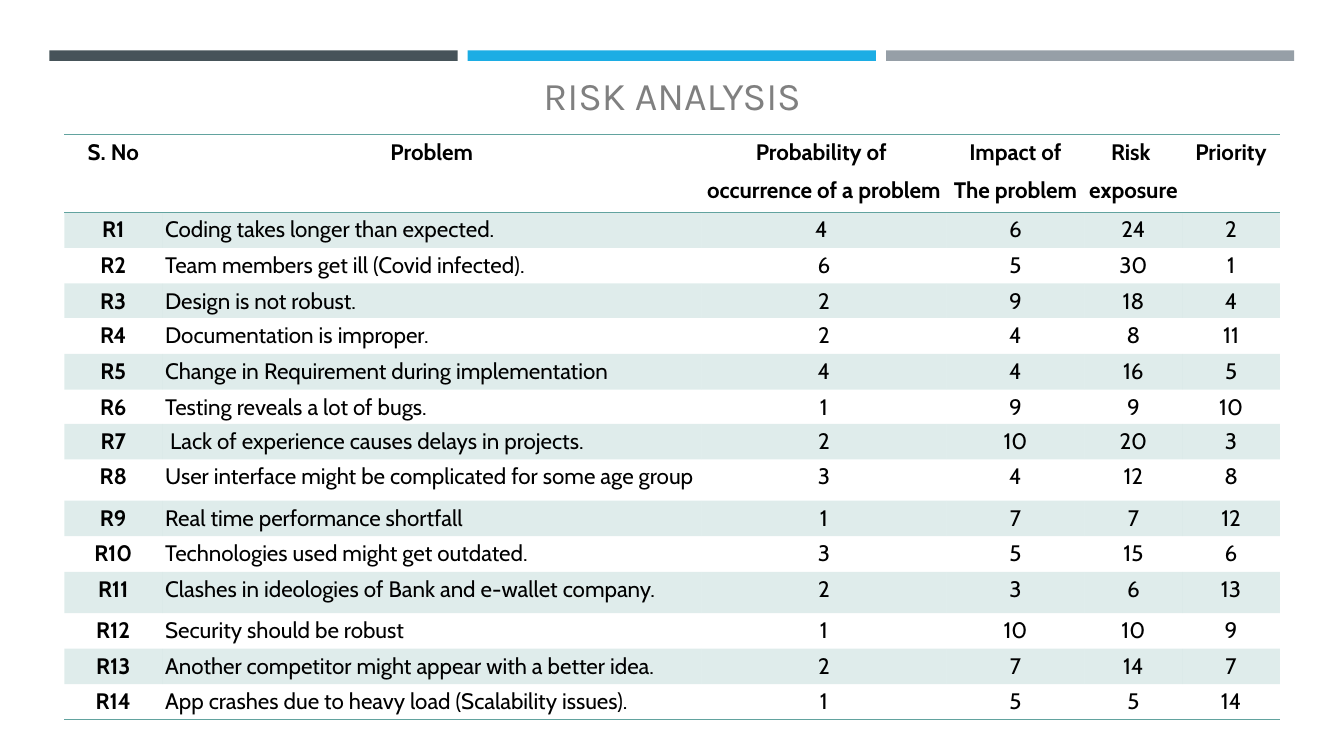
from lxml.etree import SubElement
from pptx import Presentation
from pptx.dml.color import RGBColor
from pptx.enum.shapes import MSO_SHAPE
from pptx.enum.text import MSO_ANCHOR, PP_ALIGN
from pptx.oxml import parse_xml
from pptx.oxml.ns import nsdecls, qn
from pptx.util import Pt

SLATE = RGBColor(0x46, 0x53, 0x59)
BLUE = RGBColor(0x1C, 0xAD, 0xE4)
SILVER = RGBColor(0x96, 0x9F, 0xA7)
GREY = RGBColor(0x80, 0x80, 0x80)
BLACK = RGBColor(0, 0, 0)
TEAL = RGBColor(0x62, 0xA3, 0x9F)

PLAIN_TABLE_STYLE = "{2D5ABB26-0587-4C30-8999-92F81FD0307C}"
CELL_FORMAT = {
    "margin_left": Pt(2.2),
    "margin_right": Pt(2.2),
    "margin_top": 0,
    "margin_bottom": 0,
    "vertical_anchor": MSO_ANCHOR.TOP,
}
COLUMN_WIDTHS = [69.8, 385.2, 175, 98.7, 69.8, 69.8]
HEADER_HEIGHT = 55.5
HEADERS = [
    "S. No",
    "Problem",
    "Probability of \noccurrence of a problem",
    "Impact of\nThe problem",
    "Risk \nexposure",
    "Priority",
]
RISKS = [
    (25.4, "Coding takes longer than expected.", "4 ", 6, 24, 2),
    (25.4, "Team members get ill (Covid infected).", 6, 5, 30, 1),
    (24.5, "Design is not robust.", 2, 9, 18, 4),
    (25.9, "Documentation is improper.", 2, 4, 8, 11),
    (25.4, "Change in Requirement during implementation ", 4, 4, 16, 5),
    (24.5, "Testing reveals a lot of bugs.", 1, 9, 9, 10),
    (25.4, " Lack of experience causes delays in projects.", 2, 10, 20, 3),
    (29.5, "User interface might be complicated for some age group", 3, 4, 12, 8),
    (25.4, "Real time performance shortfall", 1, 7, 7, 12),
    (25.4, "Technologies used might get outdated.", 3, 5, 15, 6),
    (29.5, "Clashes in ideologies of Bank and e-wallet company.", 2, 3, 6, 13),
    (25.4, "Security should be robust", 1, 10, 10, 9),
    (25.4, "Another competitor might appear with a better idea.", 2, 7, 14, 7),
    (25.4, "App crashes due to heavy load (Scalability issues).", 1, 5, 5, 14),
]


def apply_format(target, values):
    for name, value in values.items():
        setattr(target, name, value)


def style_run(run, color, **values):
    apply_format(run.font, values)
    run.font.color.rgb = color


def add_accent_bars(slide, left, top, width, height, gap=7.2):
    colors = [SLATE, BLUE, SILVER]
    bar_width = (width - gap * (len(colors) - 1)) / len(colors)
    for index, color in enumerate(colors):
        bar_left = left + index * (bar_width + gap)
        bar = slide.shapes.add_shape(
            MSO_SHAPE.RECTANGLE, Pt(bar_left), Pt(top), Pt(bar_width), Pt(height)
        )
        bar.shadow.inherit = False
        bar.fill.solid()
        bar.fill.fore_color.rgb = color
        bar.line.fill.background()


def place_title(slide, left, top, width, height):
    title = slide.shapes.title
    apply_format(title, {
        "left": Pt(left), "top": Pt(top), "width": Pt(width), "height": Pt(height),
    })
    title.text_frame.vertical_anchor = MSO_ANCHOR.BOTTOM
    heading = title.text_frame.paragraphs[0]
    heading.alignment = PP_ALIGN.CENTER
    run = heading.add_run()
    run.text = "RISK ANALYSIS"
    style_run(run, GREY, name="Karla", size=Pt(28))


def add_rules(cell, edges):
    properties = cell._tc.get_or_add_tcPr()
    for position, edge in enumerate(edges):
        rule = parse_xml(
            f'<a:{edge} {nsdecls("a")} w="{Pt(1)}"><a:solidFill>'
            f'<a:srgbClr val="{TEAL}"/></a:solidFill></a:{edge}>'
        )
        properties.insert(position, rule)


def fill_band(cell, banded):
    if not banded:
        cell.fill.background()
        return
    cell.fill.solid()
    cell.fill.fore_color.rgb = TEAL
    band_color = cell._tc.tcPr.find(f'{qn("a:solidFill")}/{qn("a:srgbClr")}')
    SubElement(band_color, qn("a:alpha"), val="20000")


def write_cell(cell, text, bold, alignment):
    apply_format(cell, CELL_FORMAT)
    for index, line in enumerate(text.split("\n")):
        frame = cell.text_frame
        paragraph = frame.add_paragraph() if index else frame.paragraphs[0]
        paragraph.alignment = alignment
        paragraph.line_spacing = 1.15
        if index:
            paragraph.space_before = Pt(5)
        run = paragraph.add_run()
        run.text = line
        style_run(run, BLACK, name="Cabin", size=Pt(16), bold=bold)


def add_risk_table(slide, left, top):
    heights = [HEADER_HEIGHT] + [risk[0] for risk in RISKS]
    records = [HEADERS] + [
        [f"R{number}", *risk[1:]] for number, risk in enumerate(RISKS, 1)
    ]
    risk_table = slide.shapes.add_table(
        len(records), len(HEADERS), Pt(left), Pt(top),
        Pt(sum(COLUMN_WIDTHS)), Pt(sum(heights)),
    ).table
    apply_format(risk_table, {"first_row": True, "horz_banding": False})
    risk_table._tbl.tblPr.find(qn("a:tableStyleId")).text = PLAIN_TABLE_STYLE
    for column, width in zip(risk_table.columns, COLUMN_WIDTHS):
        column.width = Pt(width)
    for row_index, (record, height) in enumerate(zip(records, heights)):
        risk_table.rows[row_index].height = Pt(height)
        for column_index, value in enumerate(record):
            cell = risk_table.cell(row_index, column_index)
            is_problem = row_index > 0 and column_index == 1
            write_cell(
                cell, str(value),
                bold=row_index == 0 or column_index == 0,
                alignment=PP_ALIGN.LEFT if is_problem else PP_ALIGN.CENTER,
            )
            fill_band(cell, row_index % 2 == 1)
            if row_index == 0:
                add_rules(cell, ["lnT", "lnB"])
            elif row_index == len(RISKS):
                add_rules(cell, ["lnB"])


def build_risk_slide(presentation):
    slide = presentation.slides.add_slide(presentation.slide_layouts[5])
    add_accent_bars(slide, 35.3, 36, 889.2, 7.5)
    place_title(slide, 46, 44, 868.3, 44)
    add_risk_table(slide, 46, 96.2)


def main():
    presentation = Presentation()
    apply_format(presentation, {"slide_width": Pt(960), "slide_height": Pt(540)})
    build_risk_slide(presentation)
    presentation.save("out.pptx")


if __name__ == "__main__":
    main()
